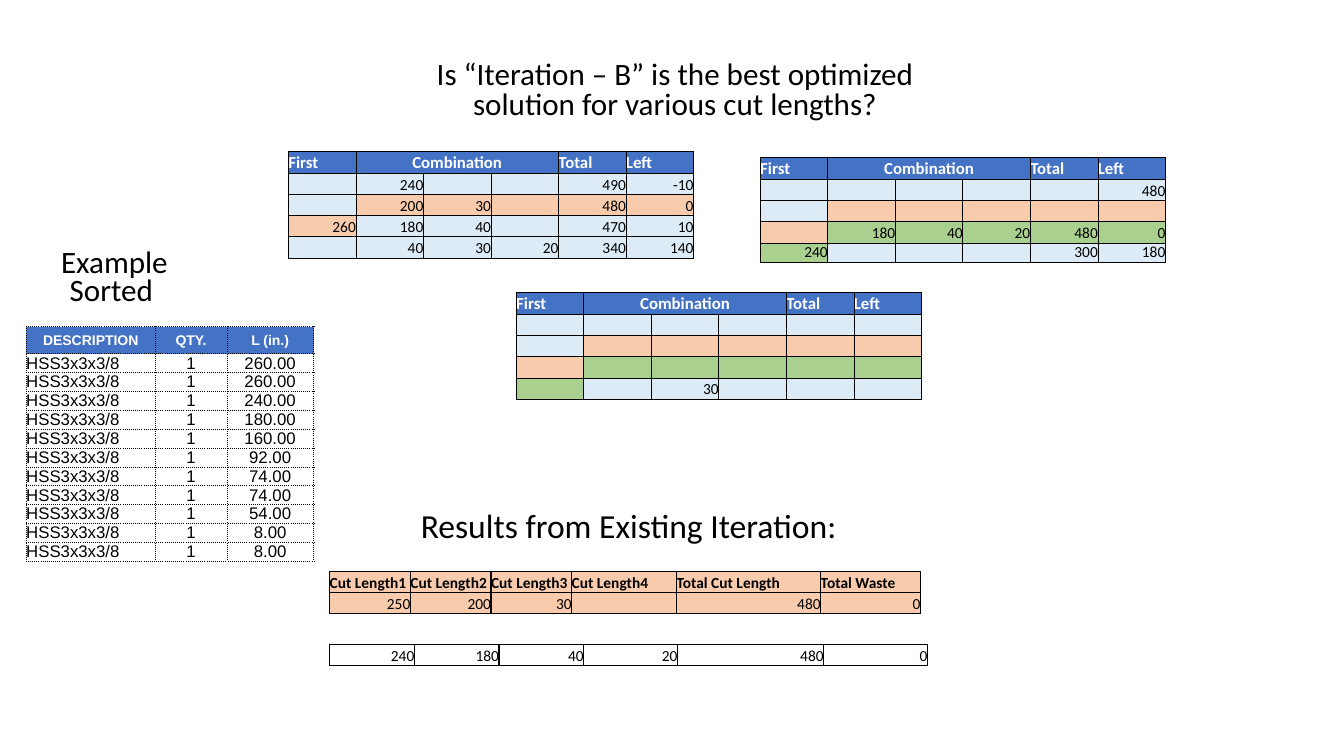
from lxml import etree
from pptx import Presentation
from pptx.dml.color import RGBColor
from pptx.enum.text import MSO_ANCHOR, MSO_AUTO_SIZE, PP_ALIGN
from pptx.oxml.ns import qn
from pptx.util import Inches, Pt

HEADING = "Is “Iteration – B” is the best optimized solution for various cut lengths?"
# text, (left, top, width, height), size name, line spacing
LABELS = [
    ("Sorted", (0, 2.73, 2.21, 0.39), "heading", 0.7),
    ("Example", (0.48, 2.4, 1.31, 0.51), "heading", 0.9),
    ("Results from Existing Iteration:", (3.02, 5, 6.43, 0.51), "results", 0.9),
]

COMBINATION_HEADER = ["First", "Combination", "", "", "Total", "Left"]
# position, last row height, fills of the first column, fills of the rest, rows
ITERATIONS = [
    ((2.86, 1.5), 0.21, "light light orange light", "light orange light light", [
        ["", "240", "", "", "490", "-10"],
        ["", "200", "30", "", "480", "0"],
        ["260", "180", "40", "", "470", "10"],
        ["", "40", "30", "20", "340", "140"],
    ]),
    ((7.54, 1.56), 0.19, "light light orange green", "light orange green light", [
        ["", "", "", "", "", "480"],
        [""] * 6,
        ["", "180", "40", "20", "480", "0"],
        ["240", "", "", "", "300", "180"],
    ]),
    ((5.12, 2.9), 0.21, "light light orange green", "light orange green light", [
        [""] * 6,
        [""] * 6,
        [""] * 6,
        ["", "", "30", "", "", ""],
    ]),
]

EXISTING = [
    ["Cut Length1", "Cut Length2", "Cut Length3", "Cut Length4", "Total Cut Length", "Total Waste"],
    ["250", "200", "30", "", "480", "0"],
]
IMPROVED = ["240", "180", "40", "20", "480", "0"]

SORTED_HEADER = ["DESCRIPTION", "QTY.", "L (in.)"]
SORTED_LENGTHS = ["260.00", "260.00", "240.00", "180.00", "160.00", "92.00",
                  "74.00", "74.00", "54.00", "8.00", "8.00"]

THEME = {
    "colors": {"blue": "4472C4", "light": "DDEBF7", "orange": "F8CBAD",
               "green": "A9D08E", "white": "FFFFFF", "black": "000000"},
    "sizes": {"heading": 22.2, "results": 24, "header": 12, "value": 11,
              "sorted_header": 10, "sorted_value": 12},
    "main_font": "Calibri",
    "sorted_font": "Arial",
}
ALIGN = {"l": PP_ALIGN.LEFT, "c": PP_ALIGN.CENTER, "r": PP_ALIGN.RIGHT}


def color(name):
    return RGBColor.from_string(THEME["colors"][name])


def apply(target, formats):
    for attribute, value in formats.items():
        setattr(target, attribute, value)


def style_font(font, size, ink="black", bold=False, family=THEME["main_font"]):
    apply(font, {"name": family, "size": Pt(THEME["sizes"][size]), "bold": bold})
    font.color.rgb = color(ink)


def place_text(holder, text, box, size, spacing):
    edges = map(Inches, box)
    apply(holder, dict(zip(("left", "top", "width", "height"), edges)))
    frame = holder.text_frame
    frame.text = text
    apply(frame, {"word_wrap": True, "auto_size": MSO_AUTO_SIZE.NONE,
                  "vertical_anchor": MSO_ANCHOR.TOP})
    paragraph = frame.paragraphs[0]
    apply(paragraph, {"alignment": PP_ALIGN.CENTER, "line_spacing": spacing,
                      "space_before": Pt(10)})
    style_font(paragraph.runs[0].font, size)


def draw_borders(cell, width, dash):
    properties = cell._tc.get_or_add_tcPr()
    for side in ("lnL", "lnR", "lnT", "lnB"):
        line = etree.SubElement(properties, qn(f"a:{side}"), w=str(Pt(width)))
        fill = etree.SubElement(line, qn("a:solidFill"))
        etree.SubElement(fill, qn("a:srgbClr"), val=THEME["colors"]["black"])
        etree.SubElement(line, qn("a:prstDash"), val=dash)


def fill_cell(cell, text, align, fill, font, border, anchor):
    draw_borders(cell, *border)
    if fill:
        cell.fill.solid()
        cell.fill.fore_color.rgb = color(fill)
    else:
        cell.fill.background()
    apply(cell, {"margin_left": 0, "margin_right": 0, "margin_top": 0,
                 "margin_bottom": 0, "vertical_anchor": anchor})
    paragraph = cell.text_frame.paragraphs[0]
    paragraph.alignment = ALIGN[align]
    if text:
        run = paragraph.add_run()
        run.text = text
        style_font(run.font, **font)
    else:  # an empty cell keeps its row low only with a small end mark
        size = Pt(THEME["sizes"][font["size"]])
        etree.SubElement(paragraph._p, qn("a:endParaRPr"), sz=str(int(size.pt * 100)))


def add_grid(slide, position, widths, rows, border, anchor=MSO_ANCHOR.BOTTOM):
    """Each row is (height, texts, alignment letters, fills, font format)."""
    left, top = map(Inches, position)
    height = sum(row[0] for row in rows)
    table = slide.shapes.add_table(len(rows), len(widths), left, top,
                                   Inches(sum(widths)), Inches(height)).table
    apply(table, {"first_row": False, "horz_banding": False})
    for column, width in zip(table.columns, widths):
        column.width = Inches(width)
    for r, (row_height, texts, aligns, fills, font) in enumerate(rows):
        table.rows[r].height = Inches(row_height)
        for c, (text, align, fill) in enumerate(zip(texts, aligns, fills)):
            fill_cell(table.cell(r, c), text, align, fill, font, border, anchor)
    return table


def add_iteration(slide, position, last_height, first_fills, other_fills, values):
    rows = [(0.22, COMBINATION_HEADER, "lcccll", ["blue"] * 6,
             {"size": "header", "ink": "white", "bold": True})]
    heights = [0.21] * 3 + [last_height]
    for height, texts, first, other in zip(heights, values, first_fills.split(), other_fills.split()):
        rows.append((height, texts, "rrrrrr", [first] + [other] * 5, {"size": "value"}))
    table = add_grid(slide, position, [0.67] * 6, rows, (0.5, "solid"))
    table.cell(0, 1).merge(table.cell(0, 3))


def add_results(slide):
    orange = ["orange"] * 6
    header, values = EXISTING
    add_grid(slide, (3.27, 5.67), [0.8, 0.8, 0.8, 1.04, 1.43, 0.99], [
        (0.21, header, "llllll", orange, {"size": "value", "bold": True}),
        (0.21, values, "rrrrrr", orange, {"size": "value"}),
    ], (1, "solid"))
    add_grid(slide, (3.27, 6.39), [0.84, 0.84, 0.84, 0.93, 1.45, 1.03], [
        (0.21, IMPROVED, "rrrrrr", [None] * 6, {"size": "value"}),
    ], (1, "solid"))


def add_sorted_list(slide):
    family = THEME["sorted_font"]
    rows = [(0.27, SORTED_HEADER, "ccc", ["blue"] * 3,
             {"size": "sorted_header", "ink": "white", "bold": True, "family": family})]
    for length in SORTED_LENGTHS:
        rows.append((0.18, ["HSS3x3x3/8", "1", length], "lcc", [None] * 3,
                     {"size": "sorted_value", "family": family}))
    add_grid(slide, (0.26, 3.24), [1.28, 0.71, 0.86], rows, (0.5, "sysDot"), MSO_ANCHOR.MIDDLE)


def main():
    deck = Presentation()
    apply(deck, {"slide_width": Inches(13.33), "slide_height": Inches(7.5)})
    slide = deck.slides.add_slide(deck.slide_layouts.get_by_name("Title Only"))
    place_text(slide.shapes.title, HEADING, (4.07, 0.56, 5.25, 0.74), "heading", 0.8)
    for text, box, size, spacing in LABELS:
        label = slide.shapes.add_textbox(0, 0, 0, 0)
        place_text(label, text, box, size, spacing)
    for iteration in ITERATIONS:
        add_iteration(slide, *iteration)
    add_results(slide)
    add_sorted_list(slide)
    deck.save("out.pptx")


if __name__ == "__main__":
    main()
